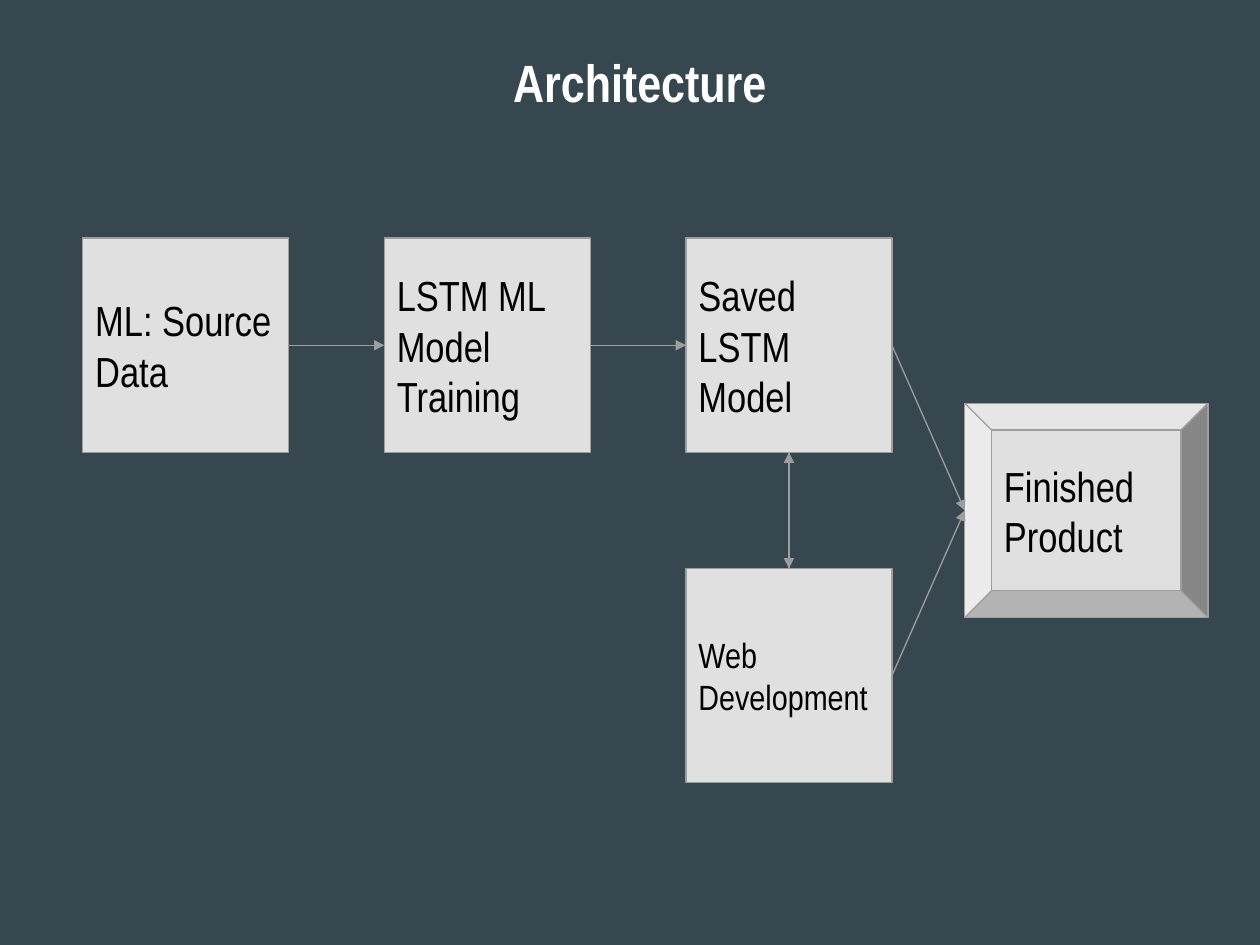
from dataclasses import dataclass

from lxml import etree
from pptx import Presentation
from pptx.dml.color import RGBColor
from pptx.enum.shapes import MSO_CONNECTOR, MSO_SHAPE
from pptx.enum.text import MSO_ANCHOR, PP_ALIGN
from pptx.oxml.ns import qn
from pptx.util import Cm, Pt

PROCESS = MSO_SHAPE.FLOWCHART_PROCESS
BEVEL = MSO_SHAPE.BEVEL
STRAIGHT = MSO_CONNECTOR.STRAIGHT
MIDDLE = MSO_ANCHOR.MIDDLE
LEFT, CENTER = PP_ALIGN.LEFT, PP_ALIGN.CENTER

FONT = "Arial Narrow"
COLORS = {
    "background": "37474F",
    "box": "E0E0E0",
    "line": "9E9E9E",
    "text": "000000",
    "title": "FFFFFF",
}
LINE_WIDTH = Pt(0.75)

# Grid in centimetres
COLUMN_LEFT, COLUMN_PITCH = 1.67, 6.08
TOP_ROW, BOTTOM_ROW = 4.8, 11.46
BOX_WIDTH, BOX_HEIGHT = 4.15, 4.32


@dataclass(frozen=True)
class Box:
    lines: tuple[str, ...]
    left: float
    top: float
    width: float = BOX_WIDTH
    size: int = 24
    preset: int = PROCESS

    def site(self, side: str) -> tuple[float, float]:
        """Return the middle point of one side."""
        across, down = {
            "top": (0.5, 0), "left": (0, 0.5),
            "bottom": (0.5, 1), "right": (1, 0.5),
        }[side]
        return self.left + across * self.width, self.top + down * BOX_HEIGHT


def column(index: int) -> float:
    return COLUMN_LEFT + index * COLUMN_PITCH


def color(name: str) -> RGBColor:
    return RGBColor.from_string(COLORS[name])


def write_text(shape, lines: tuple[str, ...], size: int, color_name: str,
               alignment: int = LEFT, bold: bool = False) -> None:
    frame = shape.text_frame
    frame.word_wrap = True
    frame.vertical_anchor = MIDDLE
    frame.margin_left = frame.margin_right = Cm(0.25)
    frame.margin_top = frame.margin_bottom = Cm(0.25)
    for index, line in enumerate(lines):
        paragraph = frame.add_paragraph() if index else frame.paragraphs[0]
        paragraph.alignment = alignment
        run = paragraph.add_run()
        run.text = line
        run.font.name = FONT
        run.font.size = Pt(size)
        run.font.bold = bold
        run.font.color.rgb = color(color_name)


def draw_box(slide, box: Box) -> None:
    shape = slide.shapes.add_shape(
        box.preset, Cm(box.left), Cm(box.top), Cm(box.width), Cm(BOX_HEIGHT))
    shape.shadow.inherit = False
    shape.fill.solid()
    shape.fill.fore_color.rgb = color("box")
    shape.line.color.rgb = color("line")
    shape.line.width = LINE_WIDTH
    write_text(shape, box.lines, box.size, "text")


def draw_arrow(slide, start: tuple[float, float], end: tuple[float, float]) -> None:
    points = [Cm(value) for value in (*start, *end)]
    connector = slide.shapes.add_connector(STRAIGHT, *points)
    connector.line.color.rgb = color("line")
    connector.line.width = LINE_WIDTH
    properties = connector._element.spPr
    outline = properties.find(qn("a:ln"))
    etree.SubElement(outline, qn("a:tailEnd"), type="triangle")
    etree.SubElement(properties, qn("a:effectLst"))


presentation = Presentation()
presentation.slide_width, presentation.slide_height = Cm(25.4), Cm(19.05)
slide = presentation.slides.add_slide(presentation.slide_layouts[6])
slide.background.fill.solid()
slide.background.fill.fore_color.rgb = color("background")

# Boxes
source = Box(("ML: Source Data",), column(0), TOP_ROW)
training = Box(("LSTM ML", "Model Training"), column(1), TOP_ROW)
saved = Box(("Saved LSTM Model",), column(2), TOP_ROW)
web = Box(("Web Development",), column(2), BOTTOM_ROW, size=20)
product = Box(("Finished Product",), 19.45, (TOP_ROW + BOTTOM_ROW) / 2,
              width=4.9, preset=BEVEL)
for box in (product, source, training, saved, web):
    draw_box(slide, box)

# Arrows
ARROWS = (
    (source, "right", training, "left"),
    (training, "right", saved, "left"),
    (saved, "right", product, "left"),
    (web, "right", product, "left"),
    (saved, "bottom", web, "top"),
    (web, "top", saved, "bottom"),
)
for origin, origin_side, target, target_side in ARROWS:
    draw_arrow(slide, origin.site(origin_side), target.site(target_side))

# Title
title = slide.shapes.add_textbox(Cm(1.47), Cm(0.05), Cm(22.86), Cm(3.18))
title.fill.solid()
title.fill.fore_color.rgb = color("background")
write_text(title, ("Architecture",), 30, "title", CENTER, bold=True)

presentation.save("out.pptx")
